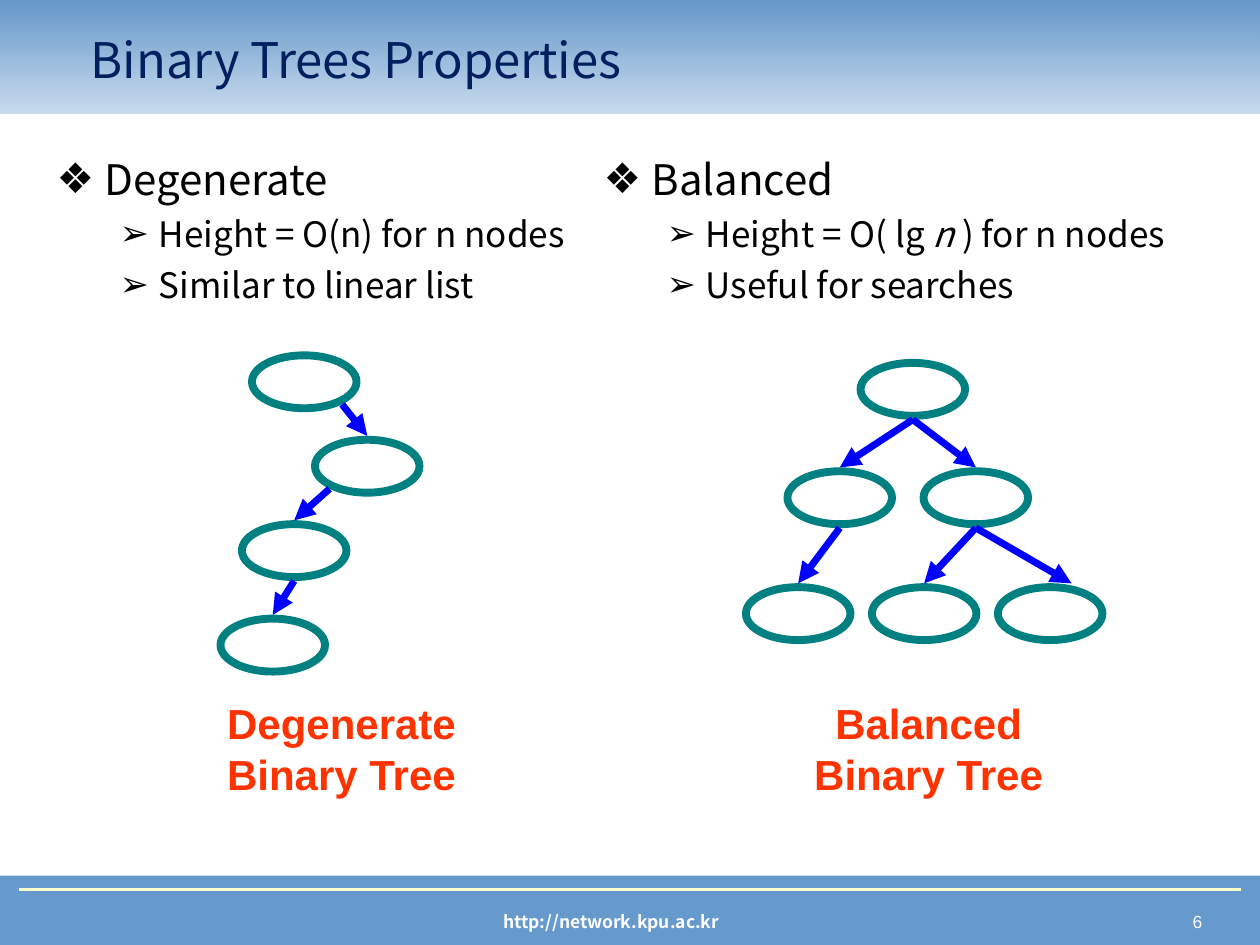
from dataclasses import dataclass

import pptx
import pptx.util
import pptx.dml.color
import pptx.enum.shapes
import pptx.enum.text
import pptx.oxml.ns
from lxml import etree

Inches = pptx.util.Inches
Pt = pptx.util.Pt
Shape = pptx.enum.shapes.MSO_SHAPE
Align = pptx.enum.text.PP_ALIGN
qn = pptx.oxml.ns.qn


@dataclass(frozen=True)
class Theme:
    body_font: str = "Noto Sans CJK KR"
    label_font: str = "Arial"
    band: str = "6699CC"
    band_top: str = "6497C9"
    rule: str = "FFFFCC"
    title: str = "002060"
    text: str = "000000"
    footer: str = "FFFFFF"
    node: str = "008080"
    arrow: str = "0000FF"
    caption: str = "FF3300"
    title_size: int = 28
    head_size: int = 24
    item_size: int = 20
    footer_size: int = 10


def rgb(value):
    return pptx.dml.color.RGBColor.from_string(value)


class TreeSlide:
    NODE_WIDTH = 0.83
    NODE_HEIGHT = 0.42
    GAP = 0.03

    def __init__(self, page, theme):
        self.page = page
        self.theme = theme

    def place(self, shape, left, top, width, height):
        shape.left, shape.top = Inches(left), Inches(top)
        shape.width, shape.height = Inches(width), Inches(height)

    def style(self, para, name, size, color, bold=False):
        para.font.name = name
        para.font.size = Pt(size)
        para.font.bold = bold
        para.font.color.rgb = rgb(color)

    def shape(self, kind, left, top, width, height):
        shape = self.page.shapes.add_shape(
            kind, Inches(left), Inches(top), Inches(width), Inches(height))
        shape.shadow.inherit = False
        return shape

    def band(self, top, height):
        band = self.shape(Shape.RECTANGLE, 0, top, 10, height)
        band.fill.solid()
        band.fill.fore_color.rgb = rgb(self.theme.band)
        band.line.fill.background()
        self.page.shapes._spTree.insert(2, band._element)
        return band

    def fading_band(self, top, height):
        band = self.band(top, height)
        band.fill.gradient()
        band.fill.gradient_angle = 90
        for stop, color in zip(band.fill.gradient_stops,
                               (self.theme.band, self.theme.band_top)):
            stop.color.rgb = rgb(color)
        faded = next(band._element.spPr.iter(qn("a:srgbClr")))
        etree.SubElement(faded, qn("a:alpha"), val="35000")

    def title(self, text, *area):
        title = self.page.shapes.title
        self.place(title, *area)
        title.text_frame.text = text
        title.text_frame.auto_size = pptx.enum.text.MSO_AUTO_SIZE.NONE
        para = title.text_frame.paragraphs[0]
        para.alignment = Align.LEFT
        self.style(para, self.theme.body_font, self.theme.title_size, self.theme.title)

    def bullet(self, para, symbol, indent, hanging):
        props = para._p.get_or_add_pPr()
        props.set("marL", str(Inches(indent)))
        props.set("indent", str(-Inches(hanging)))
        color = etree.SubElement(props, qn("a:buClr"))
        etree.SubElement(color, qn("a:srgbClr"), val=self.theme.text)
        etree.SubElement(props, qn("a:buChar"), char=symbol)

    def outline(self, index, heading, items, *area):
        theme = self.theme
        box = self.page.placeholders[index]
        self.place(box, *area)
        frame = box.text_frame
        frame.auto_size = pptx.enum.text.MSO_AUTO_SIZE.NONE
        head = frame.paragraphs[0]
        head.add_run().text = heading
        head.space_before = Pt(0)
        self.bullet(head, "❖", 0.38, 0.38)
        self.style(head, theme.body_font, theme.head_size, theme.text)
        for spans in items:
            para = frame.add_paragraph()
            para.level = 1
            para.space_before = Pt(5)
            self.bullet(para, "➢", 0.81, 0.31)
            self.style(para, theme.body_font, theme.item_size, theme.text)
            for text, italic in spans:
                span = para.add_run()
                span.text = text
                if italic:
                    span.font.italic = True

    def label(self, text, area, align, name, size, color, bold=False):
        left, top, width, height = map(Inches, area)
        box = self.page.shapes.add_textbox(left, top, width, height)
        box.text_frame.word_wrap = True
        box.text_frame.text = text
        para = box.text_frame.paragraphs[0]
        para.alignment = align
        self.style(para, name, size, color, bold)

    def footer(self, text, area, align, name, bold=False):
        self.label(text, area, align, name,
                   self.theme.footer_size, self.theme.footer, bold)

    def caption(self, text, left):
        self.label(text, (left, 5.49, 2.08, 0.9), Align.CENTER,
                   self.theme.label_font, self.theme.head_size,
                   self.theme.caption, True)

    def line(self, start, end, color, width):
        line = self.page.shapes.add_connector(
            pptx.enum.shapes.MSO_CONNECTOR.STRAIGHT,
            *map(Inches, start), *map(Inches, end))
        line.line.color.rgb = rgb(color)
        line.line.width = Pt(width)
        etree.SubElement(line._element.spPr, qn("a:effectLst"))
        return line

    def node(self, left, top):
        node = self.shape(Shape.OVAL, left, top, self.NODE_WIDTH, self.NODE_HEIGHT)
        node.fill.background()
        node.line.color.rgb = rgb(self.theme.node)
        node.line.width = Pt(4.5)

    def arrow(self, parent, child, start_shift=0, end_shift=0):
        middle = self.NODE_WIDTH / 2
        drop = -self.GAP if start_shift else self.GAP
        start = (parent[0] + middle + start_shift, parent[1] + self.NODE_HEIGHT + drop)
        end = (child[0] + middle + end_shift, child[1] - self.GAP)
        arrow = self.line(start, end, self.theme.arrow, 4)
        etree.SubElement(arrow.line._get_or_add_ln(), qn("a:tailEnd"), type="triangle")

    def tree(self, nodes, edges):
        for position in nodes:
            self.node(*position)
        for parent, child, *shifts in edges:
            self.arrow(nodes[parent], nodes[child], *shifts)


def main():
    deck = pptx.Presentation()
    deck.slide_width, deck.slide_height = Inches(10), Inches(7.5)
    theme = Theme()
    slide = TreeSlide(deck.slides.add_slide(deck.slide_layouts[3]), theme)

    slide.band(6.95, 0.55)
    slide.fading_band(0, 0.9)
    slide.line((0.15, 7.06), (9.85, 7.06), theme.rule, 1.5)
    slide.footer(" 6 ", (7.42, 7.18, 2.26, 0.27), Align.RIGHT, theme.label_font)
    slide.footer("http://network.kpu.ac.kr", (2.27, 7.18, 5.16, 0.27),
                 Align.CENTER, theme.body_font, True)

    slide.title("Binary Trees Properties", 0.62, 0.16, 8.44, 0.62)
    slide.outline(1, "Degenerate",
                  [[("Height = O(n) for n nodes", False)],
                   [("Similar to linear list", False)]],
                  0.35, 1.17, 4.52, 5.28)
    slide.outline(2, "Balanced",
                  [[("Height = O( lg ", False), ("n", True), (" ) for n nodes", False)],
                   [("Useful for searches", False)]],
                  4.69, 1.17, 5.04, 5.28)

    slide.tree([(2, 2.82), (2.5, 3.49), (1.92, 4.16), (1.75, 4.91)],
               [(0, 1, 0.3), (1, 2, -0.3), (2, 3)])
    slide.caption("Degenerate Binary Tree", 1.67)

    slide.tree([(6.83, 2.88), (6.25, 3.74), (7.33, 3.74),
                (5.92, 4.66), (6.92, 4.66), (7.92, 4.66)],
               [(0, 1), (0, 2), (1, 3), (2, 4), (2, 5, 0, 0.17)])
    slide.caption("Balanced Binary Tree", 6.33)

    deck.save("out.pptx")


if __name__ == "__main__":
    main()
